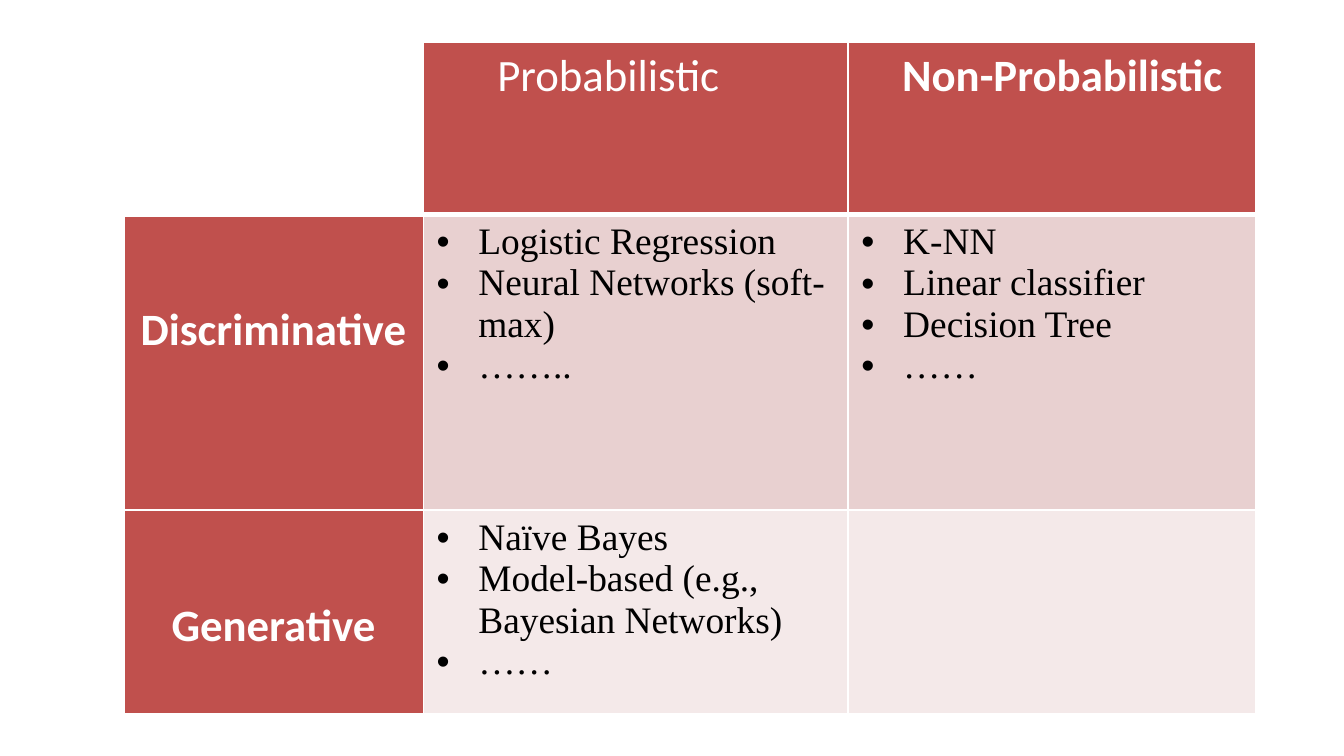
from lxml.etree import SubElement
from pptx import Presentation
from pptx.dml.color import RGBColor
from pptx.enum.text import PP_ALIGN
from pptx.oxml.ns import qn
from pptx.util import Cm, Pt

COLORS = {"white": "FFFFFF", "black": "000000", "red": "C0504D",
          "rose": "E8D0D0", "blush": "F4E9E9"}

# Content: column headings (text, bold, left margin in cm), then the rows
HEADINGS = [("Probabilistic", False, 1.4), ("Non-Probabilistic", True, 1.02)]
ROWS = [
    ("Discriminative", "rose", [
        ["Logistic Regression", "Neural Networks (soft-max)", "…….."],
        ["K-NN", "Linear classifier", "Decision Tree", "……"],
    ]),
    ("Generative", "blush", [
        ["Naïve Bayes", "Model-based (e.g., Bayesian Networks)", "……"],
        [],
    ]),
]
COLUMN_WIDTHS = [5.66, 8.03, 7.7]
ROW_HEIGHTS = [3.25, 5.59, 3.86]
LABEL_TOP = 1.68


def add_bullet(para):
    properties = para._p.get_or_add_pPr()
    properties.set("marL", str(Cm(0.79)))
    properties.set("indent", str(-Cm(0.79)))
    SubElement(properties, qn("a:buFont"), typeface="Arial")
    SubElement(properties, qn("a:buChar"), char="•")


def write(cell, lines, font="Calibri", size=24, color="white", bold=False,
          align=PP_ALIGN.LEFT, bullet=False, left=0.25, top=0.13):
    cell.margin_left, cell.margin_top = Cm(left), Cm(top)
    frame = cell.text_frame
    for index, line in enumerate(lines):
        para = frame.add_paragraph() if index else frame.paragraphs[0]
        para.alignment = align
        if bullet:
            add_bullet(para)
        span = para.add_run()
        span.text = line
        span.font.name, span.font.size, span.font.bold = font, Pt(size), bold
        span.font.color.rgb = RGBColor.from_string(COLORS[color])


def style_cell(cell, fill=None, bottom=1):
    """White borders, then the fill."""
    properties = cell._tc.get_or_add_tcPr()
    for side, width in (("L", 1), ("R", 1), ("T", 1), ("B", bottom)):
        line = SubElement(properties, qn(f"a:ln{side}"), w=str(Pt(width)))
        paint = SubElement(line, qn("a:solidFill"))
        SubElement(paint, qn("a:srgbClr"), val=COLORS["white"])
    if fill:
        cell.fill.solid()
        cell.fill.fore_color.rgb = RGBColor.from_string(COLORS[fill])
    else:
        cell.fill.background()


deck = Presentation()
deck.slide_width, deck.slide_height = Cm(25.4), Cm(14.29)
page = deck.slides.add_slide(deck.slide_layouts[6])

# Table grid
table = page.shapes.add_table(
    len(ROW_HEIGHTS), len(COLUMN_WIDTHS), Cm(2.34), Cm(0.8),
    Cm(sum(COLUMN_WIDTHS)), Cm(sum(ROW_HEIGHTS))).table
table.first_row = table.horz_banding = False
for column, width in zip(table.columns, COLUMN_WIDTHS):
    column.width = Cm(width)
for row, height in zip(table.rows, ROW_HEIGHTS):
    row.height = Cm(height)

# Heading row
style_cell(table.cell(0, 0), bottom=3)
for column, (text, bold, left) in enumerate(HEADINGS, 1):
    cell = table.cell(0, column)
    style_cell(cell, "red", bottom=3)
    write(cell, [text], bold=bold, left=left)

# Row labels and bullet lists
for row, (label, fill, lists) in enumerate(ROWS, 1):
    cell = table.cell(row, 0)
    style_cell(cell, "red")
    write(cell, [label], bold=True, align=PP_ALIGN.CENTER, top=LABEL_TOP)
    for column, items in enumerate(lists, 1):
        cell = table.cell(row, column)
        style_cell(cell, fill)
        write(cell, items, font="Times New Roman", size=20, color="black",
              bullet=True)

deck.save("out.pptx")
